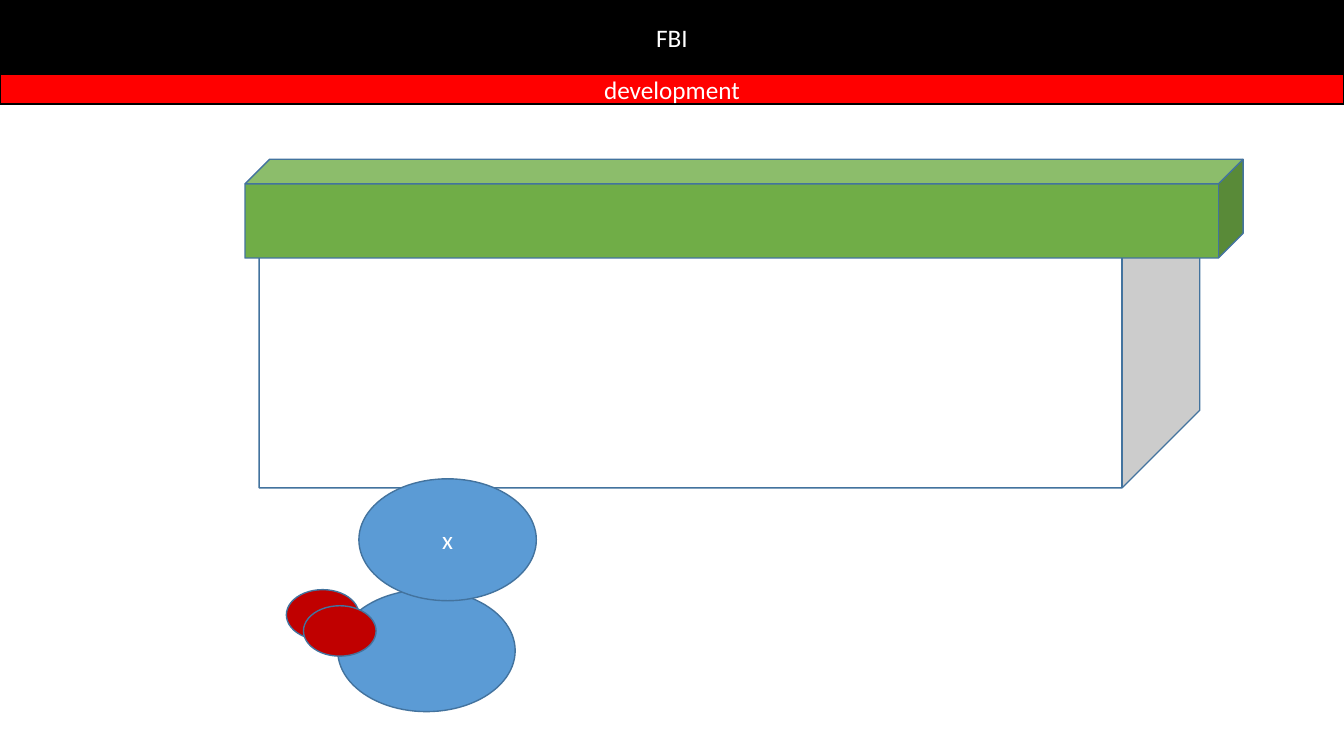
"""Build a slide with two header bands, a counter and a figure made of ovals."""
from dataclasses import dataclass

from pptx import Presentation
from pptx.dml.color import RGBColor
from pptx.enum.shapes import MSO_SHAPE as Preset
from pptx.enum.text import MSO_ANCHOR as Anchor, PP_ALIGN as Align
from pptx.util import Inches, Pt

COLORS = {
    "black": "000000",
    "white": "FFFFFF",
    "red": "FF0000",
    "dark_red": "C00000",
    "blue": "5B9BD5",
    "outline": "43739E",
    "green": "70AD47",
}
SLIDE_WIDTH, SLIDE_HEIGHT = 13.33, 7.5
BODY_SIZE = (1.76, 1.21)
HAND_SIZE = (0.72, 0.5)


@dataclass(frozen=True)
class Figure:
    preset: Preset
    position: tuple[float, float]
    size: tuple[float, float]
    fill: str
    line: str = "outline"
    text: str = ""


FIGURES = [
    Figure(Preset.RECTANGLE, (0, 0), (SLIDE_WIDTH, 0.74), "black", "black", "FBI"),
    Figure(Preset.RECTANGLE, (0, 0.74), (SLIDE_WIDTH, 0.29), "red", "black", "development"),
    Figure(Preset.OVAL, (3.35, 5.85), BODY_SIZE, "blue"),
    Figure(Preset.CUBE, (2.57, 1.76), (9.33, 3.08), "white"),
    Figure(Preset.CUBE, (2.43, 1.58), (9.9, 0.98), "green"),
    Figure(Preset.OVAL, (3.56, 4.75), BODY_SIZE, "blue", text="x"),
    Figure(Preset.OVAL, (2.84, 5.85), HAND_SIZE, "dark_red"),
    Figure(Preset.OVAL, (3.01, 6.01), HAND_SIZE, "dark_red"),
]


def color(name: str) -> RGBColor:
    return RGBColor.from_string(COLORS[name])


def write_text(shape, text: str, *, font: str = "Calibri", size: float = 18,
               fill: str = "white") -> None:
    frame = shape.text_frame
    frame.word_wrap = True
    frame.vertical_anchor = Anchor.MIDDLE
    paragraph = frame.paragraphs[0]
    paragraph.alignment = Align.CENTER
    run = paragraph.add_run()
    run.text = text
    run.font.name = font
    run.font.size = Pt(size)
    run.font.color.rgb = color(fill)


def draw_figure(slide, figure: Figure) -> None:
    box = [Inches(value) for value in figure.position + figure.size]
    shape = slide.shapes.add_shape(figure.preset, *box)
    shape.shadow.inherit = False
    shape.fill.solid()
    shape.fill.fore_color.rgb = color(figure.fill)
    shape.line.color.rgb = color(figure.line)
    shape.line.width = Pt(1)
    if figure.text:
        write_text(shape, figure.text)


def main() -> None:
    presentation = Presentation()
    presentation.slide_width = Inches(SLIDE_WIDTH)
    presentation.slide_height = Inches(SLIDE_HEIGHT)
    slide = presentation.slides.add_slide(presentation.slide_layouts[6])
    for figure in FIGURES:
        draw_figure(slide, figure)
    presentation.save("out.pptx")


if __name__ == "__main__":
    main()
